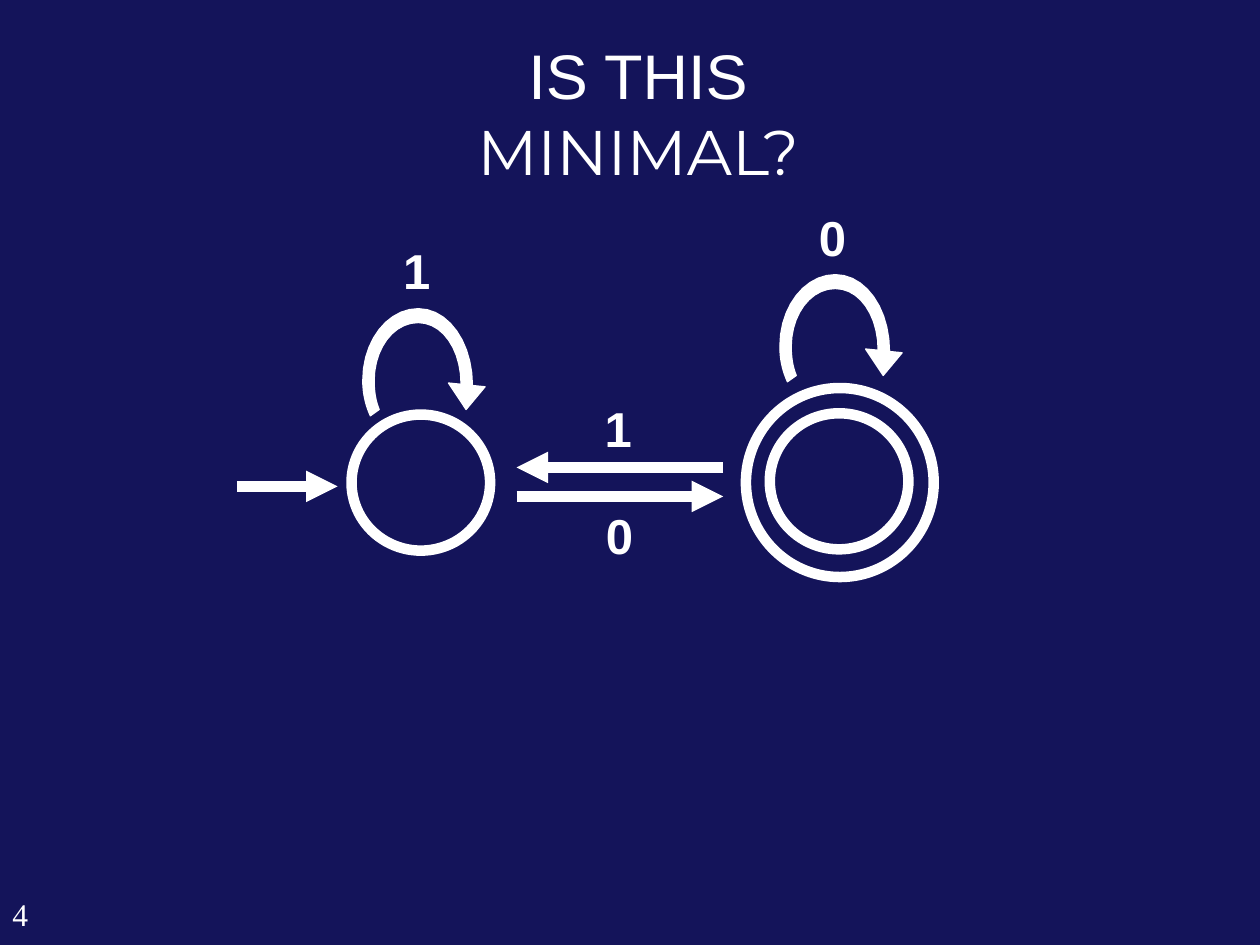
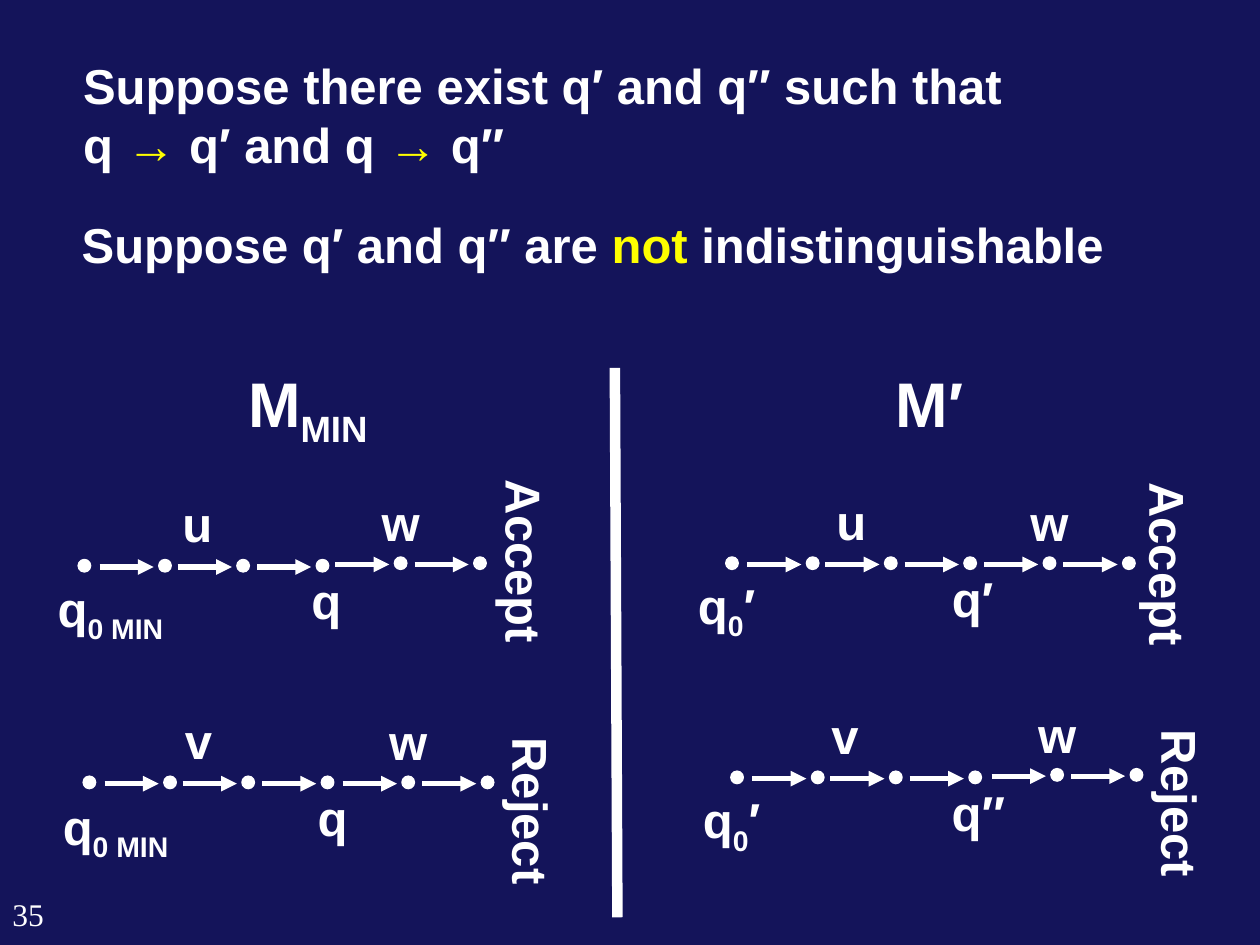
from dataclasses import dataclass

from lxml.etree import SubElement
from pptx import Presentation
from pptx.dml.color import RGBColor
from pptx.enum.shapes import MSO_CONNECTOR as Connector, MSO_SHAPE as Preset
from pptx.enum.text import MSO_ANCHOR as Anchor, MSO_AUTO_SIZE as AutoSize, PP_ALIGN as Align
from pptx.oxml.ns import qn
from pptx.shapes.base import BaseShape
from pptx.slide import Slide
from pptx.util import Inches, Pt

NAVY = RGBColor(0x14, 0x14, 0x5A)
WHITE = RGBColor(0xFF, 0xFF, 0xFF)
YELLOW = RGBColor(0xFF, 0xFF, 0x00)

TITLE_ONLY = 5
LINE_HEIGHT = 0.57
SUBSCRIPT_HEIGHT = 0.63
DOT_SIZE = 0.1
START_DOTS = (0, 0.64, 1.26, 1.89)
TAIL_DOTS = (0, 0.63)

Point = tuple[float, float]


@dataclass(frozen=True)
class Span:
    text: str
    color: RGBColor = WHITE
    font: str = "Arial"
    subscript: bool = False


@dataclass(frozen=True)
class Style:
    size: int = 28
    bold: bool = True
    align: Align = Align.LEFT


@dataclass(frozen=True)
class Box:
    left: float
    top: float
    width: float
    height: float = LINE_HEIGHT

    def lengths(self) -> list[Inches]:
        return [Inches(n) for n in (self.left, self.top, self.width, self.height)]


@dataclass(frozen=True)
class Chain:
    left: float
    top: float
    tail_left: float
    tail_top: float
    word: str
    word_left: float
    start: tuple[Span, ...]
    start_box: Box
    state: str
    state_box: Box
    verdict: str
    verdict_box: Box


LABEL = Style(align=Align.CENTER)
PLAIN = Style()
HEADING = Style(size=36)
MIN_START = (Span("q"), Span("0 MIN", subscript=True))
PRIME_START = (Span("q"), Span("0", subscript=True), Span("′"))

CHAINS = (
    Chain(0.62, 4.44, 3.13, 4.42, "u", 1.35,
          MIN_START, Box(0.36, 4.54, 1.04, SUBSCRIPT_HEIGHT),
          "q", Box(2.37, 4.48, 0.44), "Accept", Box(3.37, 4.22, 1.59)),
    Chain(0.66, 6.16, 3.19, 6.16, "v", 1.37,
          MIN_START, Box(0.4, 6.27, 1.04, SUBSCRIPT_HEIGHT),
          "q", Box(2.42, 6.2, 0.44), "Reject", Box(3.49, 6.2, 1.46)),
    Chain(5.76, 4.42, 8.28, 4.42, "u", 6.54,
          PRIME_START, Box(5.44, 4.52, 0.69, SUBSCRIPT_HEIGHT),
          "q′", Box(7.44, 4.46, 0.56), "Accept", Box(8.48, 4.24, 1.59)),
    Chain(5.8, 6.12, 8.34, 6.1, "v", 6.5,
          PRIME_START, Box(5.48, 6.22, 0.69, SUBSCRIPT_HEIGHT),
          "q′′", Box(7.42, 6.16, 0.69), "Reject", Box(8.64, 6.14, 1.46)),
)

LOOP_INNER = (
    (6.97, 2.78),
    ((6.97, 2.5), (6.82, 2.29), (6.63, 2.29)),
    ((6.43, 2.29), (6.28, 2.5), (6.28, 2.75)),
    ((6.28, 2.83), (6.29, 2.91), (6.32, 2.98)),
)
LOOP_OUTER = (
    (6.25, 3.03),
    ((6.21, 2.94), (6.19, 2.85), (6.19, 2.75)),
    ((6.19, 2.43), (6.39, 2.18), (6.63, 2.18)),
    ((6.87, 2.18), (7.06, 2.45), (7.06, 2.79)),
)
LOOP_HEAD = [(7.16, 2.8), (7.01, 2.98), (6.87, 2.77)]


def write(shape: BaseShape, lines: list[tuple[Span, ...]], style: Style) -> None:
    frame = shape.text_frame
    frame.vertical_anchor = Anchor.TOP
    for number, spans in enumerate(lines):
        para = frame.add_paragraph() if number else frame.paragraphs[0]
        para.alignment = style.align
        for span in spans:
            run = para.add_run()
            run.text = span.text
            run.font.name = span.font
            run.font.size = Pt(style.size)
            run.font.bold = style.bold
            run.font.color.rgb = span.color
            if span.subscript:
                run._r.get_or_add_rPr().set("baseline", "-25000")


def add_text(page: Slide, box: Box, spans: tuple[Span, ...], style: Style = PLAIN,
             rotation: int = 0) -> None:
    shape = page.shapes.add_textbox(*box.lengths())
    shape.rotation = rotation
    shape.text_frame.word_wrap = bool(rotation)
    shape.text_frame.auto_size = AutoSize.NONE if rotation else AutoSize.SHAPE_TO_FIT_TEXT
    write(shape, [spans], style)


def add_page(deck: Presentation, number: str, title_box: Box,
             title_lines: list[tuple[Span, ...]], style: Style) -> Slide:
    page = deck.slides.add_slide(deck.slide_layouts[TITLE_ONLY])
    title = page.shapes.title
    title.left, title.top, title.width, title.height = title_box.lengths()
    title.text_frame.word_wrap = True
    title.text_frame.auto_size = AutoSize.NONE
    write(title, title_lines, style)
    add_text(page, Box(0, 7.05, 0.57, 0.45), (Span(number, font="Times New Roman"),),
             Style(size=18, bold=False))
    return page


def paint_line(shape: BaseShape, weight: float) -> None:
    shape.line.color.rgb = WHITE
    shape.line.width = Pt(weight)


def add_line(page: Slide, start: Point, end: Point, weight: float,
             arrow: bool = True) -> None:
    line = page.shapes.add_connector(
        Connector.STRAIGHT, *(Inches(n) for n in (*start, *end)))
    paint_line(line, weight)
    if arrow:
        SubElement(line.line._get_or_add_ln(), qn("a:tailEnd"), type="triangle")
    SubElement(line._element.spPr, qn("a:effectLst"))


def add_circle(page: Slide, box: Box, weight: float, filled: bool = False) -> None:
    circle = page.shapes.add_shape(Preset.OVAL, *box.lengths())
    circle.shadow.inherit = False
    if filled:
        circle.fill.solid()
        circle.fill.fore_color.rgb = WHITE
    else:
        circle.fill.background()
    paint_line(circle, weight)


def trace(curve: tuple, steps: int = 10) -> list[Point]:
    points = [curve[0]]
    for second, third, last in curve[1:]:
        first = points[-1]
        for step in range(1, steps + 1):
            t = step / steps
            weights = ((1 - t) ** 3, 3 * t * (1 - t) ** 2, 3 * t * t * (1 - t), t ** 3)
            corners = (first, second, third, last)
            points.append(tuple(sum(w * corner[axis] for w, corner in zip(weights, corners))
                                for axis in (0, 1)))
    return points


def add_loop(page: Slide, dx: float, dy: float) -> None:
    outline = [(Inches(x + dx), Inches(y + dy))
               for x, y in trace(LOOP_INNER) + trace(LOOP_OUTER) + LOOP_HEAD]
    builder = page.shapes.build_freeform(*outline[0])
    builder.add_line_segments(outline[1:], close=True)
    loop = builder.convert_to_shape()
    loop.shadow.inherit = False
    loop.fill.solid()
    loop.fill.fore_color.rgb = WHITE
    paint_line(loop, 0.75)


def add_dots(page: Slide, lefts: list[float], top: float, arrow_first: bool) -> None:
    for number, left in enumerate(lefts):
        add_circle(page, Box(left, top, DOT_SIZE, DOT_SIZE), 0.75, filled=True)
        if number or arrow_first:
            add_line(page, (left - 0.47, top + 0.06), (left - 0.04, top + 0.06), 3)


def add_chain(page: Slide, chain: Chain) -> None:
    add_dots(page, [chain.left + n for n in START_DOTS], chain.top, False)
    add_dots(page, [chain.tail_left + n for n in TAIL_DOTS], chain.tail_top, True)
    add_text(page, Box(chain.word_left, chain.top - 0.57, 0.44), (Span(chain.word),))
    add_text(page, Box(chain.tail_left - 0.2, chain.tail_top - 0.56, 0.5), (Span("w"),))
    add_text(page, chain.start_box, chain.start)
    add_text(page, chain.state_box, (Span(chain.state),), LABEL)
    add_text(page, chain.verdict_box, (Span(chain.verdict),), rotation=90)


def build_automaton(deck: Presentation) -> None:
    page = add_page(deck, "4", Box(3.06, 0.24, 4.01, 1.3),
                    [(Span("IS THIS "), Span("MINIMAL?", font="Montserrat"))],
                    Style(size=36, bold=False, align=Align.CENTER))
    for state in (Box(6.11, 3.28, 1.1, 1.08), Box(5.92, 3.08, 1.49, 1.5),
                  Box(2.79, 3.29, 1.1, 1.08)):
        add_circle(page, state, 6)
    for start, end in (((4.1, 3.94), (5.74, 3.94)), ((5.74, 3.71), (4.1, 3.71)),
                       ((1.88, 3.86), (2.68, 3.86))):
        add_line(page, start, end, 6)
    for dx, dy in ((0, 0), (-3.31, 0.27)):
        add_loop(page, dx, dy)
    for symbol, left, top in (("0", 4.71, 3.96), ("1", 4.7, 3.11),
                              ("0", 6.4, 1.6), ("1", 3.1, 1.86)):
        add_text(page, Box(left, top, 0.41), (Span(symbol),), LABEL)


def build_proof(deck: Presentation) -> None:
    arrow = Span("→", YELLOW)
    page = add_page(deck, "35", Box(0.56, 0.39, 7.71, 1.04),
                    [(Span("Suppose there exist q′ and q′′ such that"),),
                     (Span("q "), arrow, Span(" q′ and q "), arrow, Span(" q′′"))],
                    PLAIN)
    add_text(page, Box(0.55, 1.65, 8.42),
             (Span("Suppose q′ and q′′ are "), Span("not ", YELLOW),
              Span("indistinguishable")))
    add_line(page, (4.88, 2.92), (4.9, 7.28), 6, arrow=False)
    add_text(page, Box(1.87, 2.84, 1.15, 0.79),
             (Span("M"), Span("MIN", subscript=True)), HEADING)
    add_text(page, Box(7.01, 2.84, 0.78, 0.7), (Span("M′"),), HEADING)
    for chain in CHAINS:
        add_chain(page, chain)


def main() -> None:
    deck = Presentation()
    deck.slide_width, deck.slide_height = Inches(10), Inches(7.5)
    backdrop = deck.slide_master.background.fill
    backdrop.solid()
    backdrop.fore_color.rgb = NAVY
    build_automaton(deck)
    build_proof(deck)
    deck.save("out.pptx")


if __name__ == "__main__":
    main()
